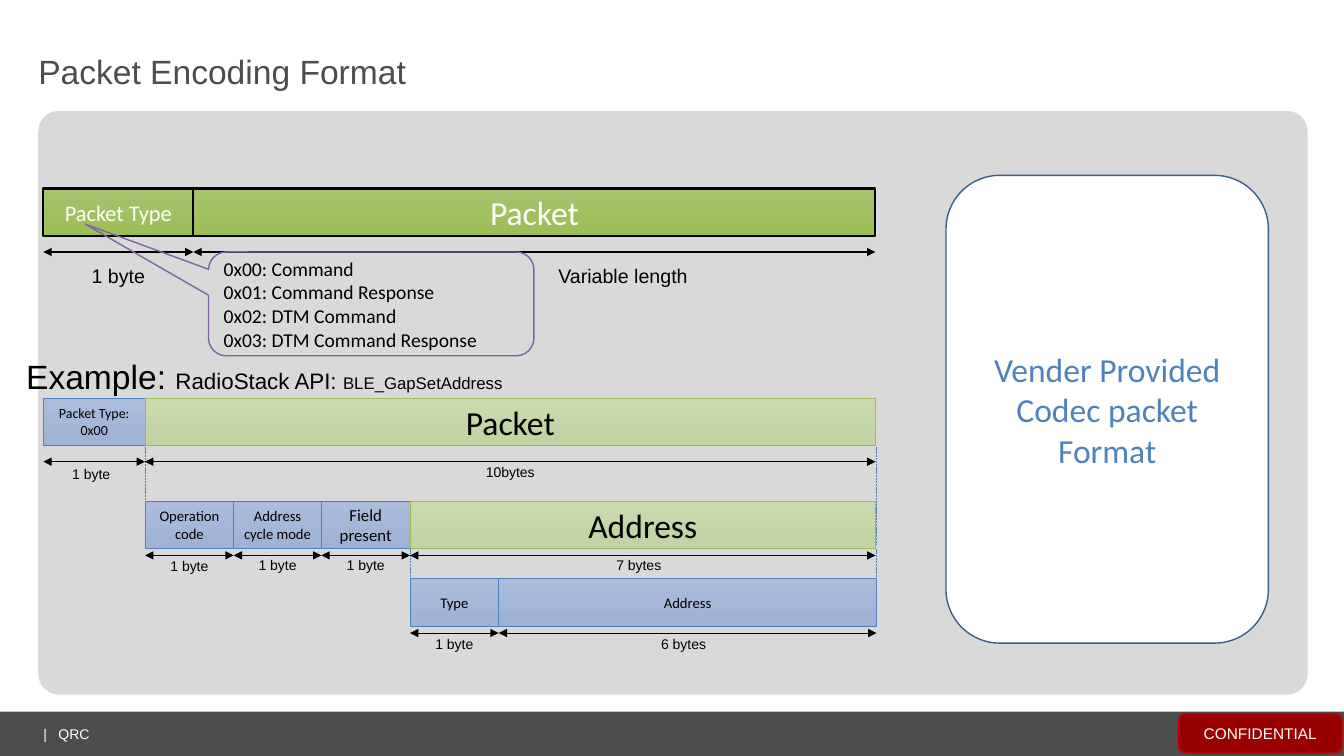
from lxml import etree
from pptx import Presentation
from pptx import util as u
from pptx.dml.color import RGBColor
from pptx.enum import dml, shapes, text
from pptx.oxml.ns import qn

PX = 9144  # 100 px to the inch
BLACK = RGBColor(0, 0, 0)
WHITE = RGBColor(255, 255, 255)
DARK = RGBColor(0x4D, 0x4D, 0x4D)
PALE = RGBColor(0xD9, 0xD9, 0xD9)
RED = RGBColor(0x99, 0, 0)
EDGE = RGBColor(0xC0, 0, 0)
BLUE = RGBColor(0x4F, 0x81, 0xBD)
NAVY = RGBColor(0x3A, 0x5F, 0x8B)
PURPLE = RGBColor(0x80, 0x64, 0xA2)
LEAF = RGBColor(0x9B, 0xBB, 0x59)

# gradient top, gradient bottom, outline, outline width, text colour
GREEN = RGBColor(0xA6, 0xC2, 0x6F), RGBColor(0x9C, 0xBF, 0x54), BLACK, 1.5, WHITE
LIGHT = RGBColor(0xCA, 0xDA, 0xAE), RGBColor(0xC0, 0xD3, 0xA1), LEAF, 0.5, BLACK
STEEL = RGBColor(0xAB, 0xBD, 0xDB), RGBColor(0x9D, 0xB2, 0xD4), BLUE, 0.5, BLACK

RECT = shapes.MSO_SHAPE.RECTANGLE
ROUND = shapes.MSO_SHAPE.ROUNDED_RECTANGLE
CALL = shapes.MSO_SHAPE.ROUNDED_RECTANGULAR_CALLOUT
LEFT, MID = text.PP_ALIGN.LEFT, text.PP_ALIGN.CENTER


def px(*nums):
    return [u.Emu(round(n * PX)) for n in nums]


def style(para, size, color, face="Arial", align=LEFT):
    para.alignment = align
    font = para.font
    font.size, font.name, font.color.rgb = u.Pt(size), face, color


def write(shape, words, size, color, face="Calibri", align=MID):
    frame = shape.text_frame
    frame.word_wrap = True
    frame.vertical_anchor = text.MSO_ANCHOR.MIDDLE
    frame.text = words
    for para in frame.paragraphs:
        style(para, size, color, face, align)


def block(slide, box, kind=RECT, fill=None, line=None, width=1, adj=()):
    shape = slide.shapes.add_shape(kind, *px(*box))
    shape.shadow.inherit = False
    if fill is None:
        shape.fill.background()
    else:
        shape.fill.solid()
        shape.fill.fore_color.rgb = fill
    if line is None:
        shape.line.fill.background()
    else:
        shape.line.color.rgb = line
        shape.line.width = u.Pt(width)
    for i, value in enumerate(adj):
        shape.adjustments[i] = value
    return shape


def label(slide, box, words, size, color=BLACK, align=MID):
    frame = slide.shapes.add_textbox(*px(*box)).text_frame
    frame.margin_left = frame.margin_right = frame.margin_top = frame.margin_bottom = 0
    frame.word_wrap = True
    para = frame.paragraphs[0]
    para.text = words
    style(para, size, color, align=align)
    return frame


def rule(slide, ends, color, width):
    line = slide.shapes.add_connector(shapes.MSO_CONNECTOR.STRAIGHT, *px(*ends))
    line.line.color.rgb = color
    line.line.width = u.Pt(width)
    etree.SubElement(line._element.spPr, qn("a:effectLst"))
    return line


def guide(slide, x, top, end):
    rule(slide, (x, top, x, end), BLUE, 0.5).line.dash_style = dml.MSO_LINE.SQUARE_DOT


def arrow(slide, x, y, w, width):
    ln = rule(slide, (x, y, x + w, y), BLACK, width).line._get_or_add_ln()
    for tag in ("a:headEnd", "a:tailEnd"):
        etree.SubElement(ln, qn(tag), type="triangle")


def row(slide, x, y, drop, size, fields):
    """Place fields side by side, each with its length arrow `drop` px below the top."""
    for w, words, point, look, length, dx, dy in fields:
        top, end, line, width, color = look
        cell = block(slide, (x, y, w, 47), fill=top, line=line, width=width)
        cell.fill.gradient()
        cell.fill.gradient_angle = 270
        for stop, tint in zip(cell.fill.gradient_stops, (top, end)):
            stop.color.rgb = tint
        write(cell, words, point, color)
        arrow(slide, x, y + drop, w, 1 if size > 10 else 0.5)
        label(slide, (x + w / 2 - 70 + dx, y + drop + dy, 140, size * 1.6), length, size)
        x += w


def footer(slide, x, y, w, h):
    block(slide, (x, y, w, h), fill=DARK)
    badge = block(slide, (x + w - 164, y + 2, 162, 39), ROUND, RED, EDGE)
    write(badge, "CONFIDENTIAL", 11, WHITE, "Arial")
    para = label(slide, (x + 43, y + 14, 172, 16), "", 10).paragraphs[0]
    tabs = etree.SubElement(para._p.get_or_add_pPr(), qn("a:tabLst"))
    etree.SubElement(tabs, qn("a:tab"), pos=str(15 * PX), algn="l")
    para.text = "|\tQRC"
    style(para, 10, WHITE)


def heading(slide, x, y, w, h):
    title = slide.shapes.title
    title.left, title.top, title.width, title.height = px(x, y, w, h)
    write(title, "Packet Encoding Format", 24, DARK, "Arial", LEFT)
    frame = title.text_frame
    frame.margin_left = frame.margin_right = frame.margin_top = frame.margin_bottom = 0


def general(slide, x, y):
    row(slide, x, y, 63, 14, [
        (149, "Packet Type", 16, GREEN, "1 byte", 0, 12),
        (677, "Packet", 24, GREEN, "Variable length", 88, 12)])
    note = block(slide, (x + 164, y + 63, 323, 103), CALL, line=PURPLE,
                 adj=(-0.88, -0.77, 0.17))
    write(note, "0x00: Command\n0x01: Command Response\n0x02: DTM Command\n"
          "0x03: DTM Command Response", 14, BLACK, align=LEFT)


def example(slide, x, y):
    para = label(slide, (x - 17, y, 500, 39), "", 24, align=LEFT).paragraphs[0]
    for words, size in (("Example: ", 24), ("RadioStack API: ", 16), ("BLE_GapSetAddress", 12)):
        run = para.add_run()
        run.text, run.font.size = words, u.Pt(size)
    inner, deep, end = x + 101, x + 364, x + 827
    for left, top, low in ((inner, 90, 188), (end, 90, 188), (deep, 192, 268), (end, 192, 268)):
        guide(slide, left, y + top, y + low)
    row(slide, x, y + 42, 63, 10, [
        (101, "Packet Type:\n0x00", 10, STEEL, "1 byte", -3, 4),
        (725, "Packet", 24, LIGHT, "10bytes", 0, 2)])
    row(slide, inner, y + 144, 54, 10, [
        (88, "Operation code", 10.5, STEEL, "1 byte", 0, 2),
        (87, "Address cycle mode", 10.5, STEEL, "1 byte", 0, 1),
        (88, "Field present", 12, STEEL, "1 byte", 0, 1),
        (462, "Address", 24, LIGHT, "7 bytes", -4, 1)])
    row(slide, deep, y + 221, 54, 10, [
        (88, "Type", 10.5, STEEL, "1 byte", 0, 2),
        (375, "Address", 10.5, STEEL, "6 bytes", -4, 2)])


def vendor(slide, *box):
    panel = block(slide, box, ROUND, WHITE, NAVY)
    write(panel, "Vender Provided\nCodec packet Format", 24, BLUE)


def main():
    deck = Presentation()
    deck.slide_width, deck.slide_height = px(1334, 750)
    slide = deck.slides.add_slide(deck.slide_layouts[5])
    footer(slide, 0, 706, 1334, 44)
    block(slide, (38, 110, 1260, 579), ROUND, PALE, adj=(0.035,))
    heading(slide, 38, 31, 1260, 79)
    general(slide, 43, 187)
    example(slide, 43, 353)
    vendor(slide, 939, 174, 320, 464)
    deck.save("out.pptx")


if __name__ == "__main__":
    main()
